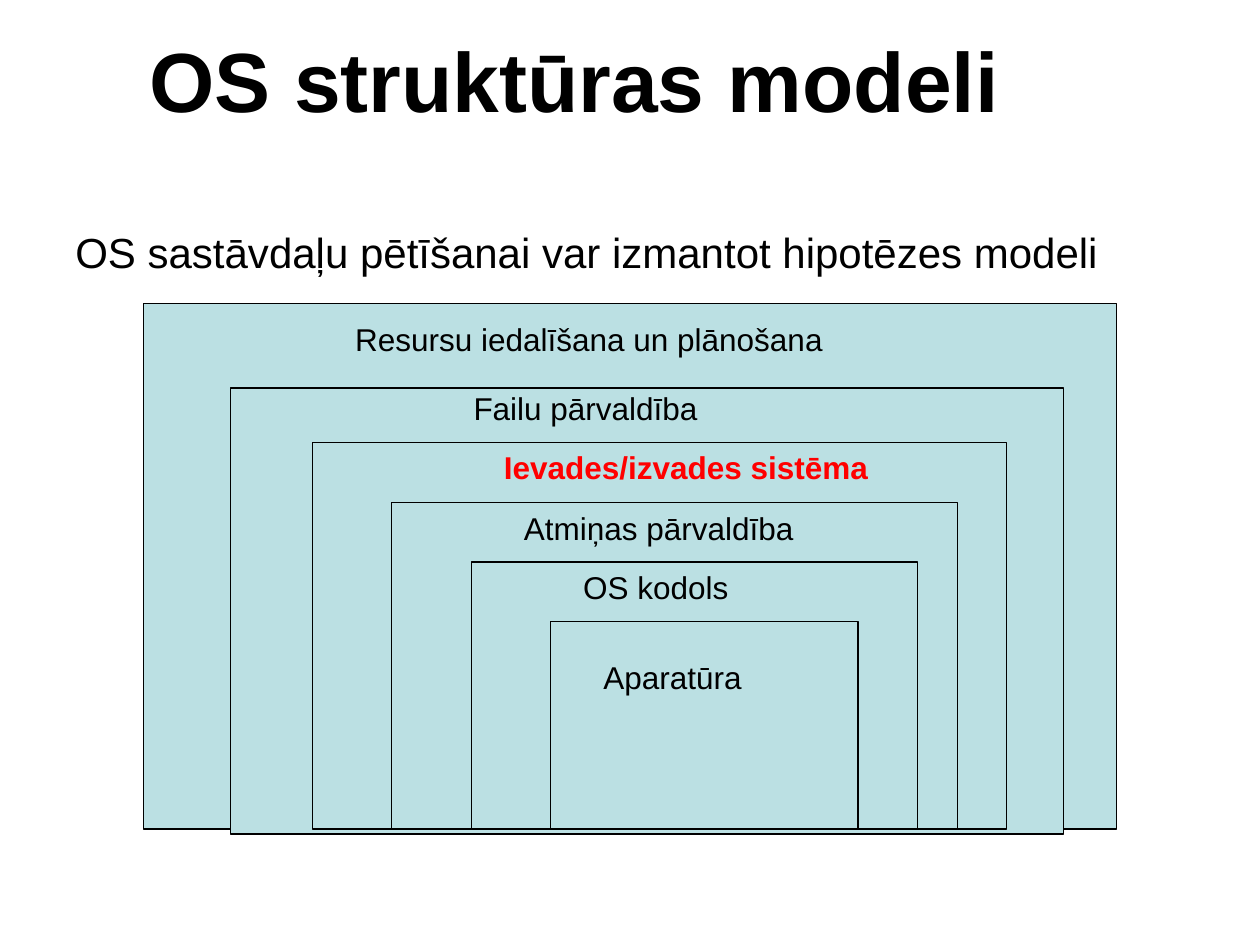
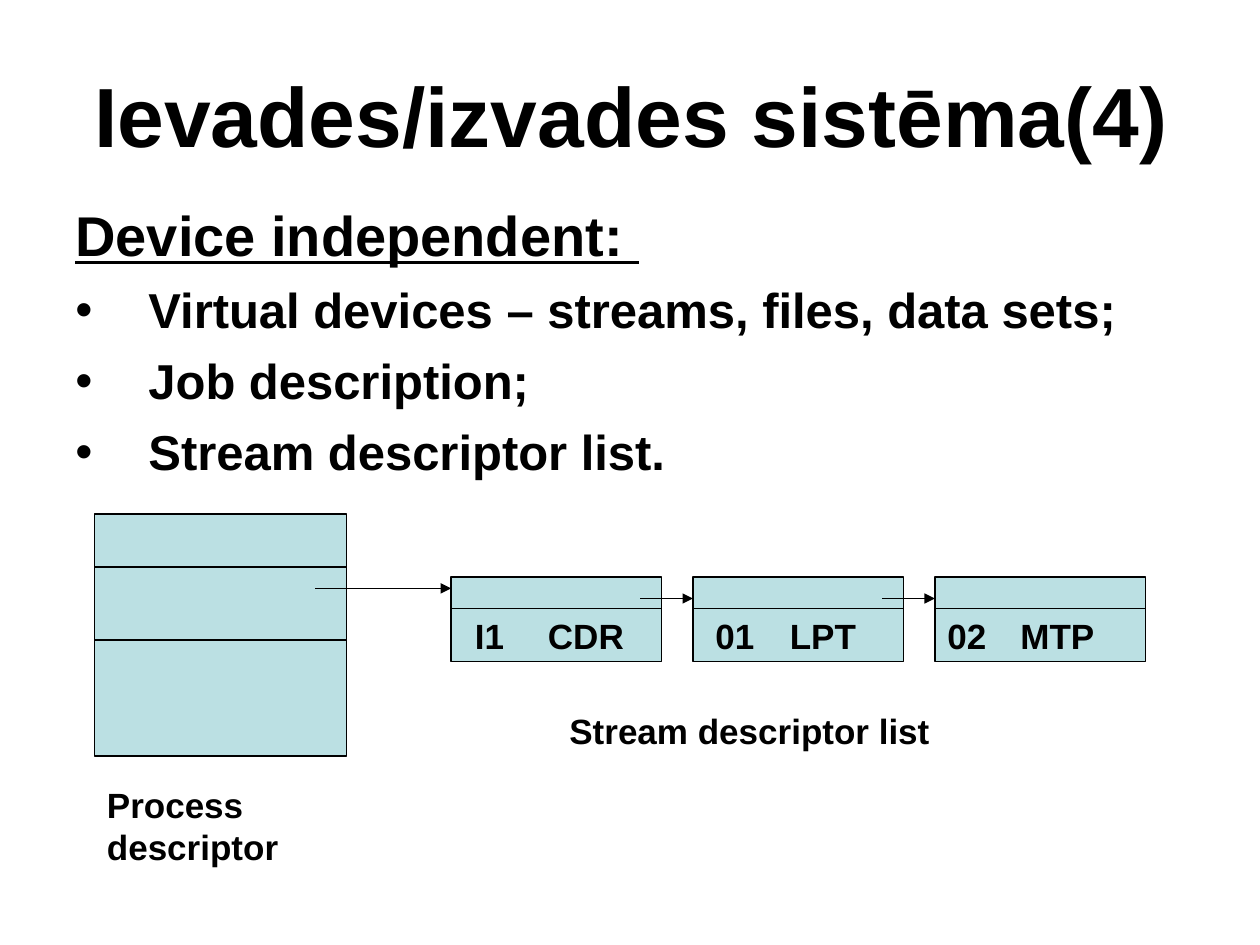
from dataclasses import dataclass

from lxml import etree
from pptx import Presentation
from pptx.dml.color import RGBColor
from pptx.enum.shapes import MSO_CONNECTOR as CONN, MSO_SHAPE as SHAPE
from pptx.enum.text import MSO_ANCHOR as ANCHOR, PP_ALIGN as ALIGN
from pptx.oxml.ns import qn
from pptx.util import Inches, Pt


@dataclass(frozen=True)
class Theme:
    font: str = "Arial"
    ink: RGBColor = RGBColor(0x00, 0x00, 0x00)
    accent: RGBColor = RGBColor(0xFF, 0x00, 0x00)
    box: RGBColor = RGBColor(0xBB, 0xE0, 0xE3)
    title: int = 48
    heading: int = 32
    bullet: int = 28
    intro: int = 24
    caption: int = 20
    layer: int = 18
    line: float = 0.75


class Deck:
    def __init__(self, theme):
        self.theme = theme
        self.prs = Presentation()
        self.prs.slide_width, self.prs.slide_height = Inches(10), Inches(7.5)
        self.s = None

    def new_slide(self):
        self.s = self.prs.slides.add_slide(self.prs.slide_layouts[6])

    def frame(self, at, wrap=True):
        tf = self.s.shapes.add_textbox(*map(Inches, at)).text_frame
        tf.word_wrap = wrap
        return tf

    def styled_run(self, p, text, size, **font):
        r = p.add_run()
        r.text = text
        values = {"name": self.theme.font, "size": Pt(size), **font}
        for name, value in values.items():
            setattr(r.font, name, value)
        r.font.color.rgb = self.theme.ink
        return r

    def title(self, at, text):
        tf = self.frame(at)
        tf.vertical_anchor = ANCHOR.MIDDLE
        p = tf.paragraphs[0]
        p.alignment = ALIGN.CENTER
        self.styled_run(p, text, self.theme.title, bold=True)

    def text(self, at, text, size, wrap=True, **font):
        p = self.frame(at, wrap).paragraphs[0]
        return self.styled_run(p, text, size, **font)

    def bullet_list(self, at, heading, items, indent=0.58):
        tf = self.frame(at)
        self.styled_run(tf.paragraphs[0], heading, self.theme.heading,
                        bold=True, underline=True)
        for item in items:
            p = tf.add_paragraph()
            p.space_before = Pt(7)
            pPr = p._p.get_or_add_pPr()
            pPr.set("marL", str(Inches(indent)))
            pPr.set("indent", str(-Inches(indent)))
            etree.SubElement(pPr, qn("a:buFont"), typeface=self.theme.font)
            etree.SubElement(pPr, qn("a:buChar"), char="•")
            self.styled_run(p, item, self.theme.bullet, bold=True)

    def box(self, at):
        sp = self.s.shapes.add_shape(SHAPE.RECTANGLE, *map(Inches, at))
        sp.shadow.inherit = False
        sp.fill.solid()
        sp.fill.fore_color.rgb = self.theme.box
        self.stroke(sp.line)

    def stroke(self, line):
        line.color.rgb = self.theme.ink
        line.width = Pt(self.theme.line)

    def across(self, x1, x2, y, arrow=False):
        """Draw a horizontal line, with an arrowhead at x2 if asked."""
        cxn = self.s.shapes.add_connector(
            CONN.STRAIGHT, Inches(x1), Inches(y), Inches(x2), Inches(y))
        self.stroke(cxn.line)
        spPr = cxn._element.spPr
        if arrow:
            etree.SubElement(spPr.find(qn("a:ln")), qn("a:tailEnd"),
                             type="triangle")
        etree.SubElement(spPr, qn("a:effectLst"))


# left, top, right, bottom of each layer; left, top, width of its label
LAYERS = [
    ("Resursu iedalīšana un plānošana", (1.14, 2.41, 8.86, 6.58), (2.72, 2.49, 3.91)),
    ("Failu pārvaldība", (1.83, 3.08, 8.44, 6.62), (3.66, 3.04, 1.98)),
    ("Ievades/izvades sistēma", (2.48, 3.51, 7.99, 6.58), (3.9, 3.51, 3.09)),
    ("Atmiņas pārvaldība", (3.11, 3.99, 7.6, 6.58), (4.06, 3.99, 2.34)),
    ("OS kodols", (3.74, 4.46, 7.28, 6.58), (4.53, 4.46, 1.35)),
    ("Aparatūra", (4.37, 4.93, 6.81, 6.58), (4.69, 5.17, 1.36)),
]
CURRENT_LAYER = "Ievades/izvades sistēma"

# number, device, and how far each starts from the left of its box
STREAMS = [("I1", 0.09, "CDR", 0.67), ("01", 0.08, "LPT", 0.67),
           ("02", 0, "MTP", 0.58)]


def structure_slide(deck):
    theme = deck.theme
    deck.new_slide()
    deck.title((0.48, 0.3, 8.16, 0.65), "OS struktūras modeli")
    deck.text((0.5, 1.75, 9, 0.5),
              "OS sastāvdaļu pētīšanai var izmantot hipotēzes modeli", theme.intro)
    for name, (left, top, right, bottom), (x, y, width) in LAYERS:
        deck.box((left, top, right - left, bottom - top))
        r = deck.text((x, y, width, 0.4), name, theme.layer, wrap=False)
        if name == CURRENT_LAYER:
            r.font.bold = True
            r.font.color.rgb = theme.accent


def stream_slide(deck):
    deck.new_slide()
    deck.title((0.51, 0.28, 9, 1.25), "Ievades/izvades sistēma(4)")
    deck.bullet_list((0.5, 1.54, 9, 2.5), "Device independent: ", [
        "Virtual devices – streams, files, data sets;",
        "Job description;",
        "Stream descriptor list.",
    ])

    def caption(at, text):
        deck.text(at, text, deck.theme.caption, bold=True)

    deck.box((0.75, 4.08, 2, 1.92))
    for y in (4.5, 5.08):
        deck.across(0.75, 2.75, y)
    caption((0.75, 6.17, 1.75, 0.77), "Process descriptor")

    first, pitch, width = 3.58, 1.92, 1.67
    for i, (number, number_dx, device, device_dx) in enumerate(STREAMS):
        left = first + i * pitch
        deck.box((left, 4.58, width, 0.67))
        deck.across(left, left + width, 4.83)
        caption((left + number_dx, 4.83, 0.75, 0.44), number)
        caption((left + device_dx, 4.83, 0.92, 0.44), device)
        if i:
            deck.across(left - 0.42, left, 4.75, arrow=True)
    deck.across(2.5, first, 4.67, arrow=True)
    caption((4.42, 5.58, 3.42, 0.44), "Stream descriptor list")


def main():
    deck = Deck(Theme())
    structure_slide(deck)
    stream_slide(deck)
    deck.prs.save("out.pptx")


if __name__ == "__main__":
    main()
